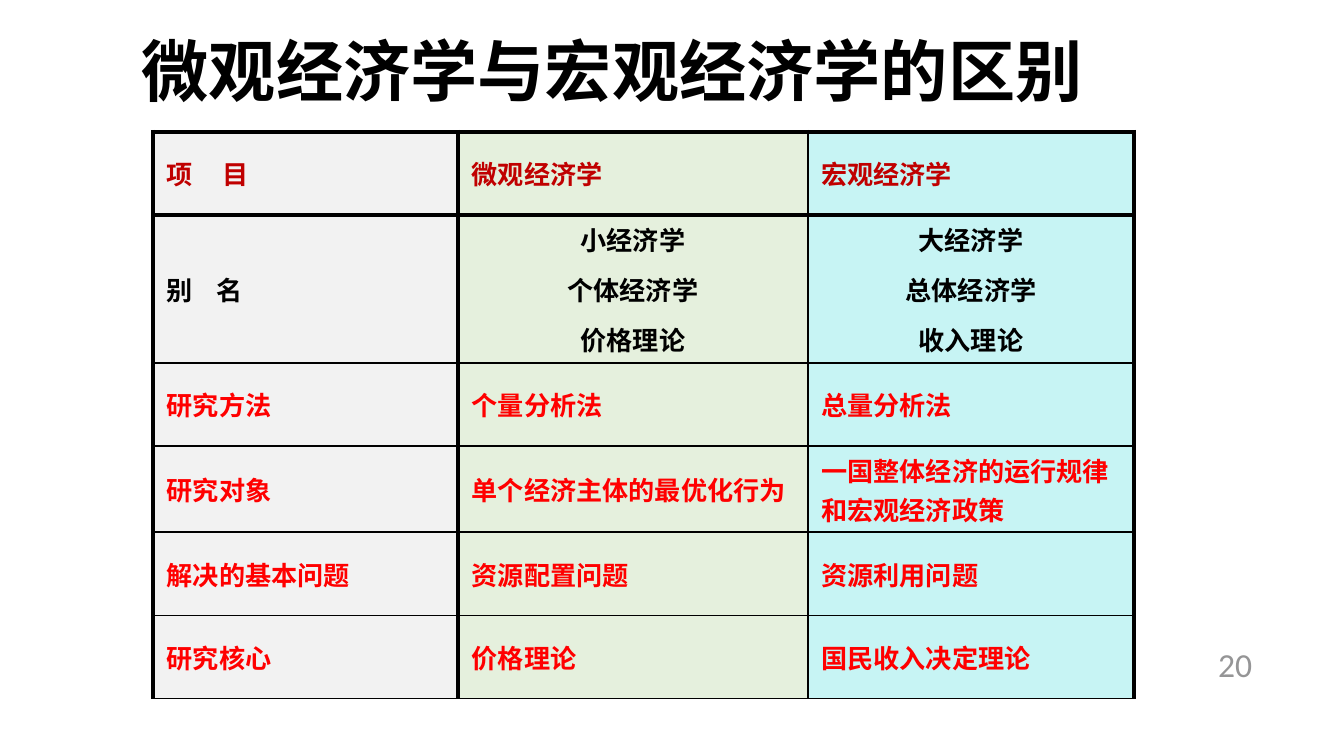
import pptx
import pptx.dml.color
import pptx.enum.text
import pptx.oxml
import pptx.oxml.ns
import pptx.util
from pptx.util import Inches

CJK = "Noto Sans CJK SC"
BLACK, DARK_RED, RED = "000000", "C00000", "FF0000"
THICK, THIN = 2.25, 1
COLUMN_WIDTHS = [2.27, 2.6, 2.43]
COLUMN_FILLS = ["F2F2F2", "E5F0DD", "C7F4F4"]
ROW_HEIGHTS = [0.62, 1.1, 0.62, 0.64, 0.62, 0.62]
ROW_COLORS = [DARK_RED, BLACK, RED, RED, RED, RED]
ROWS = [
    ["项     目", "微观经济学", "宏观经济学"],
    ["别    名", "小经济学\n个体经济学\n价格理论", "大经济学\n总体经济学\n收入理论"],
    ["研究方法", "个量分析法", "总量分析法"],
    ["研究对象", "单个经济主体的最优化行为", "一国整体经济的运行规律和宏观经济政策"],
    ["解决的基本问题", "资源配置问题", "资源利用问题"],
    ["研究核心", "价格理论", "国民收入决定理论"],
]


def rgb(color):
    return pptx.dml.color.RGBColor.from_string(color)


def write_text(tf, text, size, color, font=CJK, bold=False, center=False, before=0):
    """Fill a text frame, one paragraph per line of text."""
    tf.word_wrap = True
    for i, line in enumerate(text.split("\n")):
        p = tf.paragraphs[0] if i == 0 else tf.add_paragraph()
        align = pptx.enum.text.PP_ALIGN
        p.alignment = align.CENTER if center else align.LEFT
        p.space_before = pptx.util.Pt(before)
        r = p.add_run()
        r.text = line
        r.font.size = pptx.util.Pt(size)
        r.font.bold = bold
        r.font.name = font
        r.font.color.rgb = rgb(color)
        ea = pptx.oxml.parse_xml(
            f'<a:ea {pptx.oxml.ns.nsdecls("a")} typeface="{CJK}"/>')
        r.font._element.find(pptx.oxml.ns.qn("a:latin")).addnext(ea)


def add_text_box(s, left, top, width, height, text, **text_format):
    sp = s.shapes.add_textbox(
        Inches(left), Inches(top), Inches(width), Inches(height))
    sp.text_frame.vertical_anchor = pptx.enum.text.MSO_ANCHOR.MIDDLE
    write_text(sp.text_frame, text, center=True, **text_format)


def set_borders(cell, **widths):
    """Set border widths in points, given in the order L, R, T, B."""
    props = cell._tc.get_or_add_tcPr()
    for i, (side, width) in enumerate(widths.items()):
        props.insert(i, pptx.oxml.parse_xml(
            f'<a:ln{side} {pptx.oxml.ns.nsdecls("a")} w="{pptx.util.Pt(width)}">'
            f'<a:solidFill><a:srgbClr val="{BLACK}"/></a:solidFill></a:ln{side}>'))


def add_comparison_table(s, left, top):
    frame = s.shapes.add_table(
        len(ROWS), len(COLUMN_WIDTHS), Inches(left), Inches(top),
        Inches(sum(COLUMN_WIDTHS)), Inches(sum(ROW_HEIGHTS)))
    table = frame.table
    for column, width in zip(table.columns, COLUMN_WIDTHS):
        column.width = Inches(width)
    for i, texts in enumerate(ROWS):
        table.rows[i].height = Inches(ROW_HEIGHTS[i])
        for j, text in enumerate(texts):
            cell = table.cell(i, j)
            cell.vertical_anchor = pptx.enum.text.MSO_ANCHOR.MIDDLE
            cell.margin_left = cell.margin_right = Inches(0.1)
            cell.margin_top = cell.margin_bottom = Inches(0.04)
            cell.fill.solid()
            cell.fill.fore_color.rgb = rgb(COLUMN_FILLS[j])
            set_borders(cell,
                        L=THIN if j == 2 else THICK,
                        R=THIN if j == 1 else THICK,
                        T=THICK if i <= 1 else THIN,
                        B=THICK if i == 0 else THIN)
            write_text(cell.text_frame, text, 14, ROW_COLORS[i], font="Arial",
                       bold=True, center="\n" in text, before=6.3)


def main():
    prs = pptx.Presentation()
    prs.slide_width = Inches(10)
    prs.slide_height = prs.slide_width * 9 // 16
    s = prs.slides.add_slide(prs.slide_layouts[6])
    add_text_box(s, 0.47, 0.2, 8.17, 0.64, "微观经济学与宏观经济学的区别",
                 size=36, color=BLACK, bold=True)
    add_text_box(s, 8.91, 4.75, 0.56, 0.38, "20",
                 size=18, color="959596", font="Calibri")
    add_comparison_table(s, 1.14, 0.98)
    prs.save("out.pptx")


if __name__ == "__main__":
    main()
